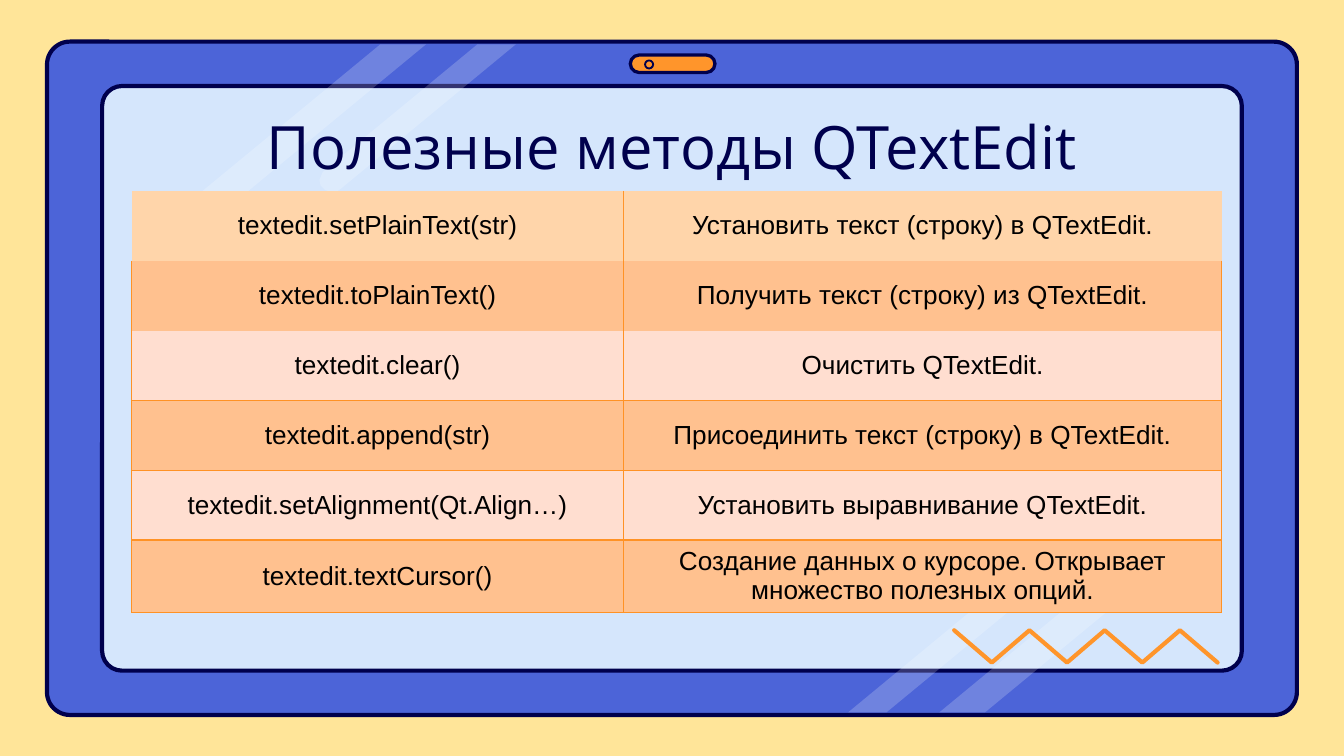
from dataclasses import dataclass
from typing import Optional

import pptx
import pptx.dml.color
import pptx.enum.shapes
import pptx.enum.text
import pptx.oxml
import pptx.oxml.ns
import pptx.util
from pptx.util import Inches

NAVY, BLUE, PALE_BLUE = "00004D", "4C64D8", "D5E6FC"
ORANGE, BORDER, WHITE, BLACK = "FF952B", "FF9225", "FFFFFF", "000000"
CREAM, PEACH, APRICOT, PINK = "FFE599", "FFD5AA", "FFC18F", "FFDED0"
SHAPES = pptx.enum.shapes.MSO_SHAPE
CENTER = pptx.enum.text.PP_ALIGN.CENTER


@dataclass
class Panel:
    left: float
    top: float
    width: float
    height: float
    fill: Optional[str]
    line_width: float
    corner: Optional[float] = None


@dataclass
class Glare:
    x: float
    y: float
    scale: float
    direction: int


@dataclass
class Method:
    call: str
    purpose: str
    fill: str


TABLET = [
    Panel(0.35, 0.31, 9.3, 5.01, BLUE, 2.25, 0.034),
    Panel(0.76, 0.64, 8.48, 4.35, PALE_BLUE, 2.25, 0.034),
]
CAMERA = [
    Panel(4.69, 0.41, 0.63, 0.13, ORANGE, 1.75, 0.5),
    Panel(4.8, 0.45, 0.06, 0.06, None, 1),
]
# A glare starts at one edge of the tablet and ends in a rounded tip
GLARE_OUTLINE = [(1.76, 0), (0.21, 1.28), (0.18, 1.3), (0.13, 1.31), (0.07, 1.29),
                 (0.03, 1.25), (0.02, 1.2), (0.05, 1.13), (1.42, 0)]
GLARES = [
    Glare(1.41, 0.33, 1, 1),
    Glare(2.36, 0.33, 0.84, 1),
    Glare(8.75, 5.3, 1, -1),
    Glare(7.79, 5.3, 0.84, -1),
]
METHODS = [
    Method("textedit.setPlainText(str)", "Установить текст (строку) в QTextEdit.", PEACH),
    Method("textedit.toPlainText()", "Получить текст (строку) из QTextEdit.", APRICOT),
    Method("textedit.clear()", "Очистить QTextEdit.", PINK),
    Method("textedit.append(str)", "Присоединить текст (строку) в QTextEdit.", APRICOT),
    Method("textedit.setAlignment(Qt.Align…)", "Установить выравнивание QTextEdit.", PINK),
    Method("textedit.textCursor()",
           "Создание данных о курсоре. Открывает множество полезных опций.", APRICOT),
]


def rgb(value: str) -> pptx.dml.color.RGBColor:
    return pptx.dml.color.RGBColor.from_string(value)


def paint(target, color: str) -> None:
    target.fill.solid()
    target.fill.fore_color.rgb = rgb(color)


def add_run(paragraph, text: str, font: str, size: float, color: str) -> None:
    paragraph.alignment = CENTER
    run = paragraph.add_run()
    run.text = text
    run.font.name = font
    run.font.size = pptx.util.Pt(size)
    run.font.color.rgb = rgb(color)


def draw_panel(slide, panel: Panel) -> None:
    kind = SHAPES.OVAL if panel.corner is None else SHAPES.ROUNDED_RECTANGLE
    shape = slide.shapes.add_shape(kind, Inches(panel.left), Inches(panel.top),
                                   Inches(panel.width), Inches(panel.height))
    shape.shadow.inherit = False
    if panel.corner is not None:
        shape.adjustments[0] = panel.corner
    if panel.fill:
        paint(shape, panel.fill)
    else:
        shape.fill.background()
    shape.line.color.rgb = rgb(NAVY)
    shape.line.width = pptx.util.Pt(panel.line_width)


def draw_outline(slide, points: list[tuple[float, float]], close: bool):
    corners = [(Inches(x), Inches(y)) for x, y in points]
    builder = slide.shapes.build_freeform(*corners[0])
    builder.add_line_segments(corners[1:], close=close)
    shape = builder.convert_to_shape()
    shape.shadow.inherit = False
    return shape


def draw_glare(slide, glare: Glare) -> None:
    step = glare.scale * glare.direction
    points = [(glare.x + step * x, glare.y + step * y) for x, y in GLARE_OUTLINE]
    shape = draw_outline(slide, points, True)
    paint(shape, WHITE)
    shape.line.fill.background()
    color = shape.element.spPr.find(".//" + pptx.oxml.ns.qn("a:srgbClr"))
    color.append(pptx.oxml.parse_xml(
        f'<a:alpha {pptx.oxml.ns.nsdecls("a")} val="20000"/>'))


def draw_zigzag(slide) -> None:
    points = [(7.1 + 0.28 * i, 4.93 if i % 2 else 4.69) for i in range(8)]
    shape = draw_outline(slide, points, False)
    shape.fill.background()
    shape.line.color.rgb = rgb(ORANGE)
    shape.line.width = pptx.util.Pt(2.25)
    line = shape.line._get_or_add_ln()
    line.set("cap", "rnd")
    line.append(pptx.oxml.parse_xml(f'<a:round {pptx.oxml.ns.nsdecls("a")}/>'))


def set_border(cell, side: str, visible: bool, color: str, width: float) -> None:
    fill = (f'<a:solidFill><a:srgbClr val="{color}"/></a:solidFill>'
            if visible else "<a:noFill/>")
    cell._tc.get_or_add_tcPr().append(pptx.oxml.parse_xml(
        f'<a:ln{side} {pptx.oxml.ns.nsdecls("a")} '
        f'w="{int(pptx.util.Pt(width))}">{fill}</a:ln{side}>'))


def draw_methods(slide) -> None:
    table = slide.shapes.add_table(len(METHODS), 2, Inches(0.98), Inches(1.42),
                                   Inches(8.11), Inches(3.12)).table
    table.first_row = table.horz_banding = False
    for column, width in zip(table.columns, (3.66, 4.45)):
        column.width = Inches(width)
    for row, method in enumerate(METHODS):
        table.rows[row].height = Inches(0.52)
        # The first row has only the divider between its columns
        color, width = (BORDER, 0.75) if row else (ORANGE, 1)
        for column, text in enumerate((method.call, method.purpose)):
            cell = table.cell(row, column)
            visible = {"L": row > 0 or column == 1, "R": row > 0 or column == 0,
                       "T": row > 2, "B": row > 1}
            for side, shown in visible.items():
                set_border(cell, side, shown, color, width)
            paint(cell, method.fill)
            cell.vertical_anchor = pptx.enum.text.MSO_ANCHOR.MIDDLE
            add_run(cell.text_frame.paragraphs[0], text, "Arial", 14, BLACK)


def draw_title(slide) -> None:
    frame = slide.shapes.add_textbox(Inches(0.79), Inches(0.82),
                                     Inches(8.42), Inches(0.63)).text_frame
    frame.word_wrap = True
    frame.vertical_anchor = pptx.enum.text.MSO_ANCHOR.BOTTOM
    frame.margin_left = frame.margin_right = Inches(0.1)
    frame.margin_top = frame.margin_bottom = Inches(0.1)
    add_run(frame.paragraphs[0], "Полезные методы QTextEdit", "Open Sans", 32, NAVY)


def main() -> None:
    deck = pptx.Presentation()
    # Widescreen, 16 to 9
    deck.slide_width = Inches(10)
    deck.slide_height = Inches(10 * 9 / 16)
    slide = deck.slides.add_slide(deck.slide_layouts[6])
    paint(slide.background, CREAM)

    # Tablet with its glares and camera
    for panel in TABLET:
        draw_panel(slide, panel)
    for glare in GLARES:
        draw_glare(slide, glare)
    for panel in CAMERA:
        draw_panel(slide, panel)

    # Content on the screen
    draw_zigzag(slide)
    draw_methods(slide)
    draw_title(slide)
    deck.save("out.pptx")


if __name__ == "__main__":
    main()
